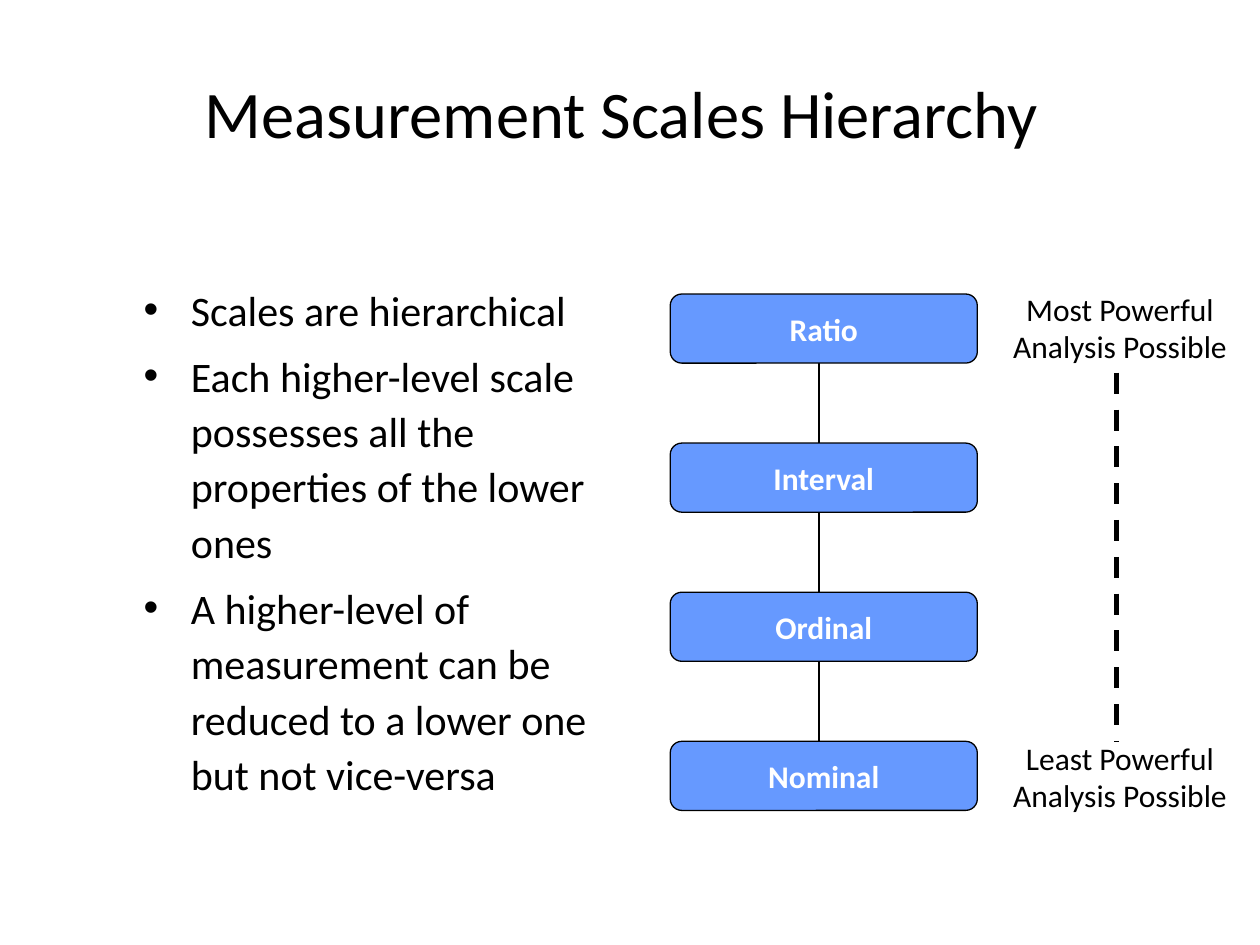
from dataclasses import dataclass

from lxml import etree
from pptx import Presentation
from pptx.dml.color import RGBColor
from pptx.enum.dml import MSO_LINE_DASH_STYLE as Dash
from pptx.enum.shapes import MSO_CONNECTOR as Conn, MSO_SHAPE as Shape
from pptx.enum.text import MSO_ANCHOR as Anchor, PP_ALIGN as Align
from pptx.oxml.ns import qn
from pptx.util import Pt


@dataclass(frozen=True)
class Theme:
    font: str = "Calibri"
    ink: RGBColor = RGBColor(0x00, 0x00, 0x00)
    box: RGBColor = RGBColor(0x66, 0x99, 0xFF)
    box_text: RGBColor = RGBColor(0xFF, 0xFF, 0xFF)
    title: int = 38
    body: int = 24
    label: int = 18


T = Theme()

SCALES = ["Ratio", "Interval", "Ordinal", "Nominal"]
BULLETS = [
    "Scales are hierarchical",
    "Each higher-level scale possesses all the properties of the lower ones",
    "A higher-level of measurement can be reduced to a lower one but not vice-versa",
]
BOX_LEFT, BOX_TOP, BOX_W, BOX_H, BOX_STEP = 383, 168, 175.5, 39.5, 85.2


def add_run(p, text, size, color=T.ink, bold=False):
    r = p.add_run()
    r.text = text
    r.font.name = T.font
    r.font.size = Pt(size)
    r.font.bold = bold
    r.font.color.rgb = color


def add_text(s, x, y, w, h, lines, size, wrap=True, anchor=Anchor.TOP, align=Align.CENTER):
    tf = s.shapes.add_textbox(Pt(x), Pt(y), Pt(w), Pt(h)).text_frame
    tf.word_wrap = wrap
    tf.vertical_anchor = anchor
    for i, line in enumerate(lines):
        p = tf.add_paragraph() if i else tf.paragraphs[0]
        p.alignment = align
        add_run(p, line, size)
    return tf


def add_bullets(s, x, y, w, h, lines):
    tf = add_text(s, x, y, w, h, lines, T.body, align=Align.LEFT)
    for i, p in enumerate(tf.paragraphs):
        p.line_spacing = 1.1
        p.space_before = Pt(6 if i else 0)
        pPr = p._p.get_or_add_pPr()
        pPr.set("marL", str(Pt(27)))
        pPr.set("indent", str(-Pt(27)))
        etree.SubElement(pPr, qn("a:buFont")).set("typeface", "Arial")
        etree.SubElement(pPr, qn("a:buChar")).set("char", "•")


def add_scale(s, x, y, w, h, name):
    sp = s.shapes.add_shape(Shape.ROUNDED_RECTANGLE, Pt(x), Pt(y), Pt(w), Pt(h))
    sp.shadow.inherit = False
    sp.fill.solid()
    sp.fill.fore_color.rgb = T.box
    sp.line.color.rgb = T.ink
    sp.line.width = Pt(0.75)
    tf = sp.text_frame
    tf.word_wrap = False
    tf.vertical_anchor = Anchor.MIDDLE
    p = tf.paragraphs[0]
    p.alignment = Align.CENTER
    add_run(p, name, T.label, T.box_text, bold=True)


def add_vertical(s, x, top, bottom, width, dash=None):
    line = s.shapes.add_connector(Conn.STRAIGHT, Pt(x), Pt(top), Pt(x), Pt(bottom))
    line.line.color.rgb = T.ink
    line.line.width = Pt(width)
    if dash:
        line.line.dash_style = dash
    etree.SubElement(line._element.spPr, qn("a:effectLst"))


def main():
    prs = Presentation()
    prs.slide_width, prs.slide_height = Pt(720), Pt(540)
    s = prs.slides.add_slide(prs.slide_layouts[6])

    add_text(s, 73.5, 8, 563.5, 111.5, ["Measurement Scales Hierarchy"], T.title,
             anchor=Anchor.MIDDLE)
    add_bullets(s, 75, 156, 296, 324, BULLETS)

    last_top = BOX_TOP + BOX_STEP * (len(SCALES) - 1)
    add_vertical(s, 468, BOX_TOP + BOX_H, last_top, 0.75)
    for i, name in enumerate(SCALES):
        add_scale(s, BOX_LEFT, BOX_TOP + i * BOX_STEP, BOX_W, BOX_H, name)

    for y, rank in [(162, "Most"), (418.5, "Least")]:
        add_text(s, 571.5, y, 137, 50.5, [f"{rank} Powerful", "Analysis Possible"],
                 T.label, wrap=False)
    add_vertical(s, 638, 213, last_top, 3, Dash.DASH)

    prs.save("out.pptx")


if __name__ == "__main__":
    main()
